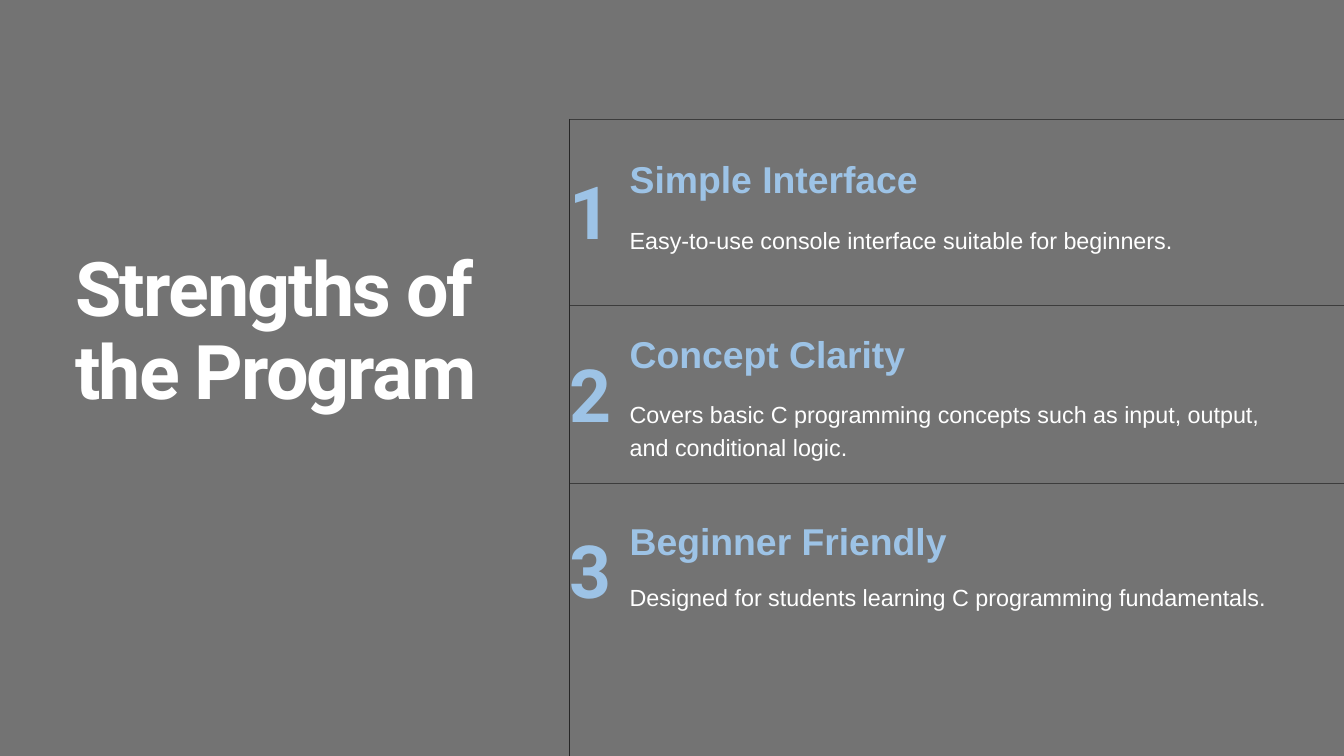
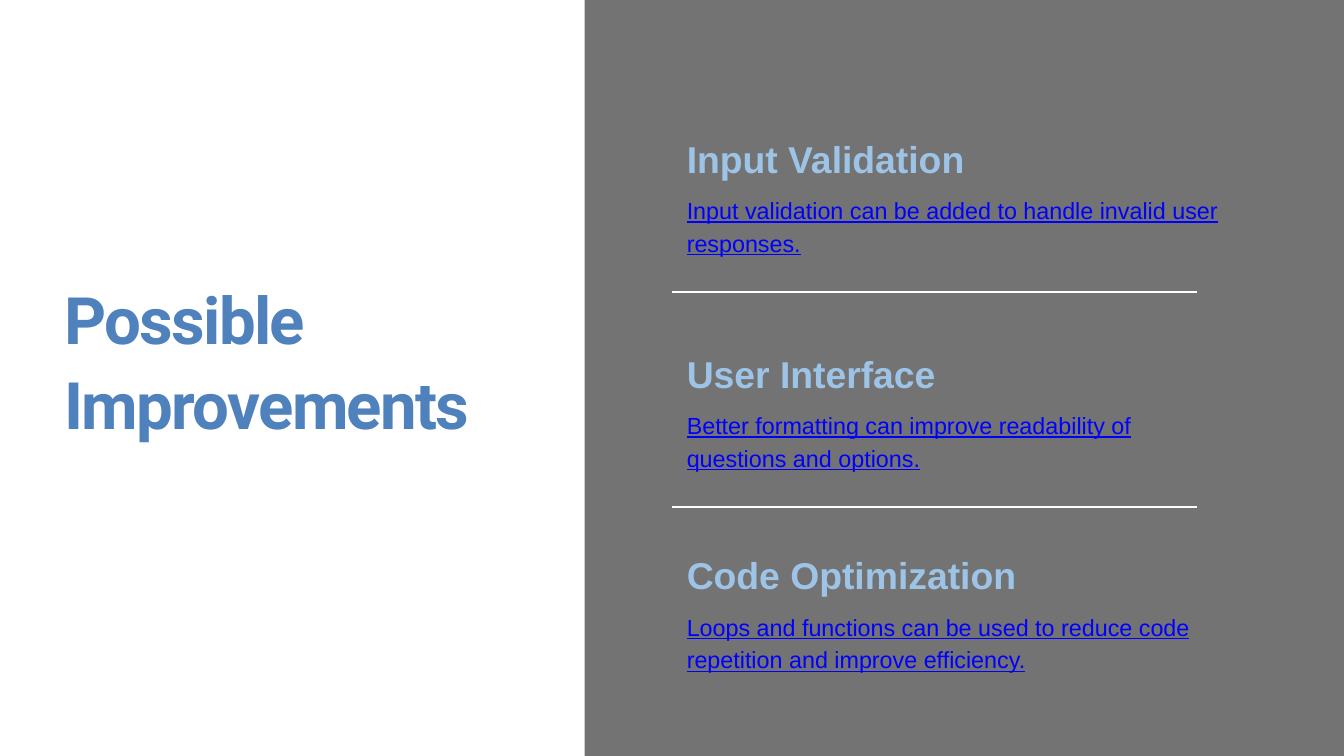
from pptx import Presentation
from pptx.dml.color import RGBColor
from pptx.enum.shapes import MSO_CONNECTOR, MSO_SHAPE
from pptx.enum.text import MSO_ANCHOR, MSO_AUTO_SIZE, PP_ALIGN
from pptx.oxml.ns import qn
from pptx.util import Inches, Pt
from lxml.etree import SubElement

GREY, WHITE, SKY, BLUE = "737373", "FFFFFF", "9DC3E6", "4F81BD"
LINK, RULE, EDGE = "0000FF", "3C3C3C", "262626"
WIDE, HIGH = 20, 11.25

STRENGTHS = [
    ("Simple Interface", "Easy-to-use console interface suitable for beginners.",
     2.58, 2.38, 3.29),
    ("Concept Clarity",
     "Covers basic C programming concepts such as input, output, and conditional logic.",
     5.3, 4.98, 5.89),
    ("Beginner Friendly", "Designed for students learning C programming fundamentals.",
     7.93, 7.77, 8.61),
]
IDEAS = [
    ("Input Validation",
     "Input validation can be added to handle invalid user responses.", 1.91),
    ("User Interface",
     "Better formatting can improve readability of questions and options.", 5.11),
    ("Code Optimization",
     "Loops and functions can be used to reduce code repetition and improve efficiency.",
     8.11),
]


def color(code):
    return RGBColor.from_string(code)


def place(shape, box):
    shape.left, shape.top, shape.width, shape.height = map(Inches, box)


def write(shape, text, size, lead, shade, face="Arial", bold=False, under=False, track=0):
    frame = shape.text_frame
    frame.word_wrap = True
    frame.auto_size = MSO_AUTO_SIZE.NONE
    frame.vertical_anchor = MSO_ANCHOR.TOP
    frame.margin_left = frame.margin_top = frame.margin_right = frame.margin_bottom = 0
    para = frame.paragraphs[0]
    para.alignment = PP_ALIGN.LEFT
    para.line_spacing = Pt(lead)
    run = para.add_run()
    run.text = text
    font = para.font
    font.name, font.size, font.bold, font.underline = face, Pt(size), bold, under
    font.color.rgb = color(shade)
    if track:
        run._r.get_or_add_rPr().set("spc", str(round(track * 100)))


def add_text(slide, box, *args, **style):
    write(slide.shapes.add_textbox(*map(Inches, box)), *args, **style)


def add_title(slide, text, box, size, lead, shade, track):
    title = slide.shapes.title
    place(title, box)
    write(title, text, size, lead, shade, "Roboto", bold=True, track=track)
    slide.shapes.element.append(title.element)


def add_item(slide, left, width, head, lead, head_top, body, shade, body_top, under=False):
    add_text(slide, (left, head_top, width, lead / 72), head, 40, lead, SKY, bold=True)
    add_text(slide, (left, body_top, width, 0.92), body, 25, 35, shade, under=under)


def add_line(slide, ends, shade, weight):
    line = slide.shapes.add_connector(MSO_CONNECTOR.STRAIGHT, *map(Inches, ends))
    line.line.color.rgb = color(shade)
    line.line.width = Pt(weight)
    SubElement(line.element.spPr, qn("a:effectLst"))


def add_panel(slide, box, shade):
    panel = slide.shapes.add_shape(MSO_SHAPE.RECTANGLE, *map(Inches, box))
    panel.shadow.inherit = False
    panel.fill.solid()
    panel.fill.fore_color.rgb = color(shade)
    panel.line.fill.background()


def build_strengths(slide):
    left, top = 8.47, 1.77
    add_title(slide, "Strengths of the Program", (1.12, 3.7, 6.33, 3.72),
              80.8, 88.8, WHITE, -2)
    for rank, (head, body, rank_top, head_top, body_top) in enumerate(STRENGTHS, 1):
        add_text(slide, (left, rank_top, 0.69, 1.23), str(rank), 78.5, 86.3, SKY,
                 face="Roboto", bold=True, track=-2)
        add_item(slide, 9.37, 9.51, head, 44, head_top, body, WHITE, body_top)
    for level in (top, 4.54, 7.2):
        add_line(slide, (left, level, WIDE, level), RULE, 0.75)
    add_line(slide, (left, top, left, HIGH), EDGE, 0.75)


def build_ideas(slide):
    add_panel(slide, (0, 0, 8.7, HIGH), WHITE)
    add_title(slide, "Possible Improvements", (0.96, 4.06, 7.29, 2.51), 70, 91, BLUE, -1.8)
    for head, body, top in IDEAS:
        add_item(slide, 10.22, 8.07, head, 56, top, body, LINK, top + 0.94, under=True)
    for level in (4.35, 7.55):
        add_line(slide, (10, level, 17.81, level), WHITE, 2.25)


def main():
    deck = Presentation()
    deck.slide_width, deck.slide_height = Inches(WIDE), Inches(HIGH)
    back = deck.slide_master.background.fill
    back.solid()
    back.fore_color.rgb = color(GREY)
    for build in (build_strengths, build_ideas):
        build(deck.slides.add_slide(deck.slide_layouts[5]))
    deck.save("out.pptx")


if __name__ == "__main__":
    main()
